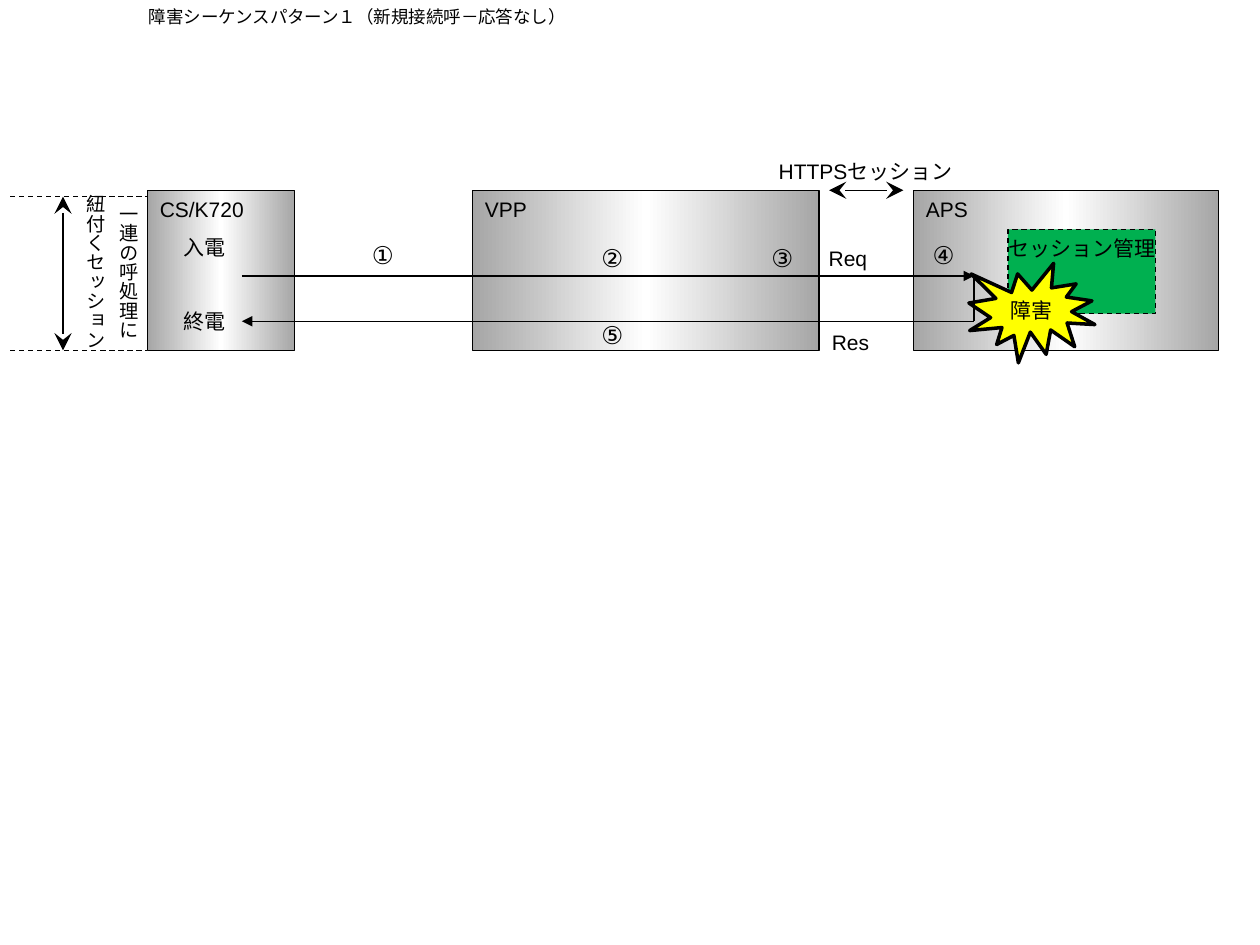
"""Build the failure sequence slide for a new call that gets no response."""
from copy import deepcopy

from lxml import etree
from pptx import Presentation
from pptx.dml.color import RGBColor
from pptx.enum.dml import MSO_LINE
from pptx.enum.shapes import MSO_CONNECTOR, MSO_SHAPE
from pptx.enum.text import MSO_ANCHOR, MSO_AUTO_SIZE, PP_ALIGN
from pptx.oxml.ns import qn
from pptx.util import Inches, Pt

BLACK = RGBColor(0x00, 0x00, 0x00)
GREY = RGBColor(0xA6, 0xA6, 0xA6)
WHITE = RGBColor(0xFF, 0xFF, 0xFF)
GREEN = RGBColor(0x00, 0xB0, 0x50)
YELLOW = RGBColor(0xFF, 0xFF, 0x00)
RECTANGLE, BURST = MSO_SHAPE.RECTANGLE, MSO_SHAPE.EXPLOSION1
DASH = MSO_LINE.DASH
STRAIGHT = MSO_CONNECTOR.STRAIGHT
LEFT, CENTER = PP_ALIGN.LEFT, PP_ALIGN.CENTER
TOP, MIDDLE = MSO_ANCHOR.TOP, MSO_ANCHOR.MIDDLE
GROW = MSO_AUTO_SIZE.SHAPE_TO_FIT_TEXT

BOX_FRAME = {"word_wrap": False, "vertical_anchor": TOP}
BURST_FRAME = {"word_wrap": True, "vertical_anchor": MIDDLE}
LABEL_FRAME = {"word_wrap": True, "auto_size": GROW}
BOTH_ENDS = {"headEnd": ("stealth", "lg"), "tailEnd": ("stealth", "lg")}
FORWARD = {"tailEnd": ("triangle", "med")}


def write(shape, text, frame_format, size=12, font="Arial", align=CENTER):
    frame = shape.text_frame
    for name, value in frame_format.items():
        setattr(frame, name, value)
    frame.text = text
    font_format = {"size": Pt(size), "name": font}
    for paragraph in frame.paragraphs:
        paragraph.alignment = align
        for name, value in font_format.items():
            setattr(paragraph.runs[0].font, name, value)
        paragraph.runs[0].font.color.rgb = BLACK
    for paragraph in frame.paragraphs[1:]:
        paragraph.space_before = Pt(size / 2)


def draw_line(shapes, ends, dash=None, arrows=None):
    connector = shapes.add_connector(STRAIGHT, *map(Inches, ends))
    connector.line.width = Pt(0.75)
    connector.line.color.rgb = BLACK
    connector.line.dash_style = dash
    properties = connector.element.spPr
    for tag, (kind, scale) in (arrows or {}).items():
        etree.SubElement(properties.find(qn("a:ln")), qn(f"a:{tag}"), type=kind, w=scale, len=scale)
    etree.SubElement(properties, qn("a:effectLst"))


prs = Presentation()
prs.slide_width, prs.slide_height = Inches(10), Inches(7.5)
shapes = prs.slides.add_slide(prs.slide_layouts[6]).shapes

servers = [("APS", 7.25, 2.42), ("CS/K720", 1.17, 1.17), ("VPP", 3.75, 2.75)]
for name, left, width in servers:
    server = shapes.add_shape(RECTANGLE, Inches(left), Inches(1.51), Inches(width), Inches(1.27))
    server.shadow.inherit = False
    server.fill.gradient()
    server.fill.gradient_angle = 0
    stop_list = server.element.spPr.find(qn("a:gradFill")).find(qn("a:gsLst"))
    stop_list.insert(1, deepcopy(stop_list[0]))
    for stop, position, color in zip(server.fill.gradient_stops, (0, 0.5, 1), (GREY, WHITE, GREY)):
        stop.position = position
        stop.color.rgb = color
    server.line.color.rgb = BLACK
    server.line.width = Pt(0.75)
    write(server, name, BOX_FRAME, align=LEFT)

draw_line(shapes, (0.5, 1.56, 0.5, 2.78), arrows=BOTH_ENDS)
for boundary in (1.56, 2.78):
    draw_line(shapes, (0.08, boundary, 1.17, boundary), dash=DASH)
draw_line(shapes, (6.58, 1.51, 7.17, 1.51), arrows=BOTH_ENDS)

states = [
    ("セッション管理", RECTANGLE, (8, 1.82, 1.17, 0.67), GREEN, 0.75, DASH, BOX_FRAME, "Arial"),
    ("障害", BURST, (7.69, 2.09, 1, 0.79), YELLOW, 2, None, BURST_FRAME, "Calibri"),
]
draw_line(shapes, (1.92, 2.19, 7.73, 2.19), arrows=FORWARD)
for text, outline, place, color, weight, dash, frame_format, font in states:
    state = shapes.add_shape(outline, *map(Inches, place))
    state.shadow.inherit = False
    state.fill.solid()
    state.fill.fore_color.rgb = color
    state.line.color.rgb = BLACK
    state.line.width = Pt(weight)
    state.line.dash_style = dash
    write(state, text, frame_format, font=font)
draw_line(shapes, (7.73, 2.55, 1.92, 2.55), arrows=FORWARD)
draw_line(shapes, (7.73, 2.21, 7.73, 2.55))

steps = [("①", 2.83, 1.86), ("②", 4.65, 1.88), ("③", 6, 1.88), ("④", 7.28, 1.86), ("⑤", 4.65, 2.49)]
messages = [("Req", 6.44, 1.9), ("Res", 6.46, 2.57), ("入電", 1.33, 1.81), ("終電", 1.33, 2.4)]
labels = [(text, (left, top, 0.42, 0.33), 14, "Arial") for text, left, top in steps]
labels += [(text, (left, top, 0.58, 0.3), 12, "Arial") for text, left, top in messages]
labels += [
    ("HTTPSセッション", (6.02, 1.21, 1.7, 0.3), 12, "Arial"),
    ("障害シーケンスパターン１（新規接続呼－応答なし）", (0, 0, 5.67, 0.4), 10, "Times New Roman"),
]
for text, place, size, font in labels:
    write(shapes.add_textbox(*map(Inches, place)), text, LABEL_FRAME, size, font)

call_session = shapes.add_textbox(Inches(0.5), Inches(1.45), Inches(0.66), Inches(1.43))
write(call_session, "一連の呼処理に\n紐付くセッション", LABEL_FRAME, 11)
call_session.element.txBody.bodyPr.set("vert", "eaVert")

prs.save("out.pptx")
